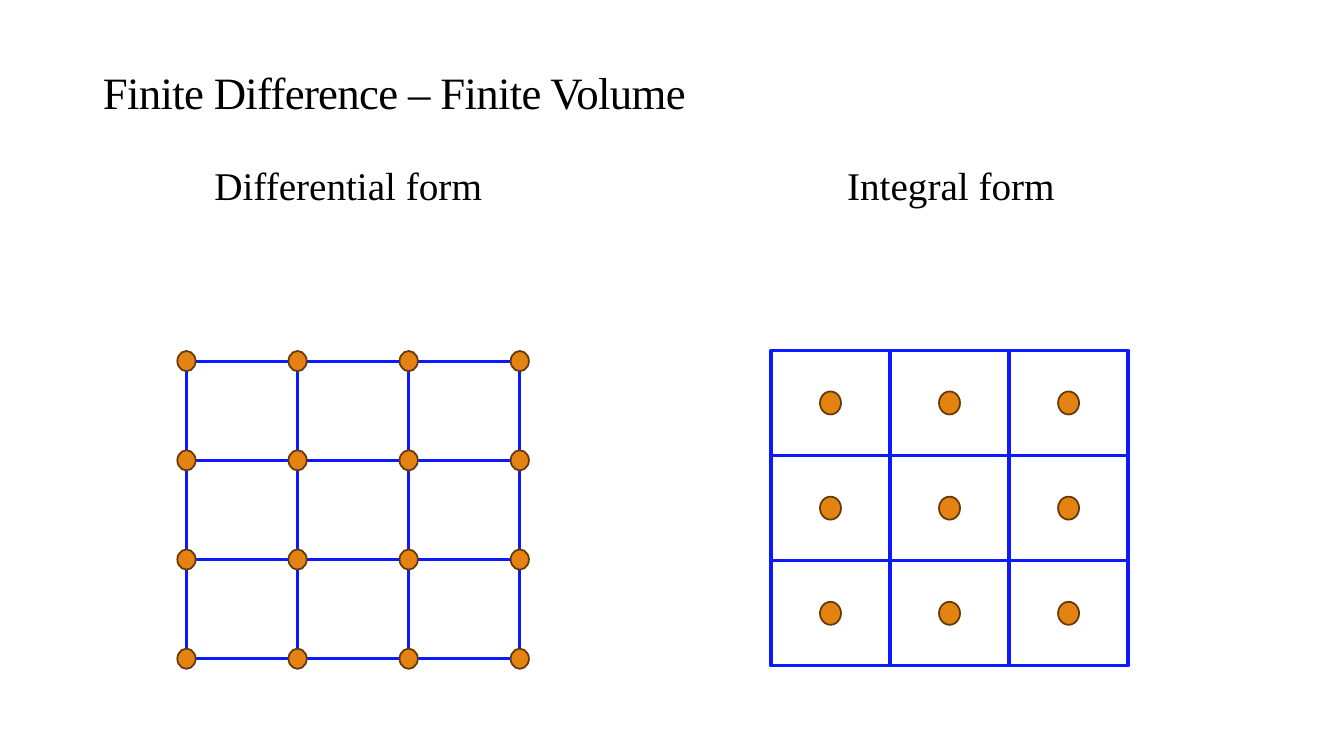
from dataclasses import dataclass
from itertools import product

from pptx import Presentation
from pptx import util as u
from pptx.dml.color import RGBColor
from pptx.enum import shapes, text


@dataclass(frozen=True)
class Theme:
    """Colours, font and sizes used on the slide."""
    ink: RGBColor = RGBColor(0x00, 0x00, 0x00)
    grid: RGBColor = RGBColor(0x0D, 0x19, 0xFF)
    node: RGBColor = RGBColor(0xE4, 0x83, 0x12)
    node_edge: RGBColor = RGBColor(0x64, 0x39, 0x08)
    font: str = "Times New Roman"
    title_size: float = 32
    caption_size: float = 28
    grid_width: float = 2.25
    node_width: float = 1.25


THEME = Theme()
CELLS = 3


def add_run(p, words, size):
    """Add a styled run to a paragraph and return it."""
    r = p.add_run()
    r.text = words
    r.font.name = THEME.font
    r.font.size = u.Pt(size)
    r.font.color.rgb = THEME.ink
    return r


def add_title(s, box, words):
    """Fill the title placeholder and move it to the box."""
    sp = s.shapes.title
    sp.left, sp.top, sp.width, sp.height = map(u.Cm, box)
    tf = sp.text_frame
    tf.auto_size = text.MSO_AUTO_SIZE.NONE
    tf.vertical_anchor = text.MSO_ANCHOR.BOTTOM
    p = tf.paragraphs[0]
    p.alignment = text.PP_ALIGN.LEFT
    p.line_spacing = 0.85
    r = add_run(p, words, THEME.title_size)
    r.font._element.set("spc", "-50")


def add_caption(s, box, words):
    """Add a centred caption in the box."""
    tf = s.shapes.add_textbox(*map(u.Cm, box)).text_frame
    tf.word_wrap = True
    tf.auto_size = text.MSO_AUTO_SIZE.SHAPE_TO_FIT_TEXT
    p = tf.paragraphs[0]
    p.alignment = text.PP_ALIGN.CENTER
    add_run(p, words, THEME.caption_size)


def add_outlined(group, kind, box, line, width, fill=None):
    """Add a preset shape with the given outline and optional fill."""
    sp = group.shapes.add_shape(kind, *map(u.Cm, box))
    sp.shadow.inherit = False
    sp.line.color.rgb = line
    sp.line.width = u.Pt(width)
    if fill is None:
        sp.fill.background()
    else:
        sp.fill.solid()
        sp.fill.fore_color.rgb = fill


def add_mesh(s, box, node_size, centred):
    """Draw a square mesh with nodes at its cell centres or its corners."""
    left, top, width, height = box
    cell_w, cell_h = width / CELLS, height / CELLS
    node_w, node_h = node_size
    group = s.shapes.add_group_shape()
    for row, col in product(range(CELLS), repeat=2):
        cell = (left + col * cell_w, top + row * cell_h, cell_w, cell_h)
        add_outlined(group, shapes.MSO_SHAPE.RECTANGLE, cell,
                     THEME.grid, THEME.grid_width)
    offset, count = (0.5, CELLS) if centred else (0, CELLS + 1)
    for row, col in product(range(count), repeat=2):
        node = (left + (col + offset) * cell_w - node_w / 2,
                top + (row + offset) * cell_h - node_h / 2, node_w, node_h)
        add_outlined(group, shapes.MSO_SHAPE.OVAL, node,
                     THEME.node_edge, THEME.node_width, THEME.node)


def main():
    """Build and save the slide."""
    prs = Presentation()
    prs.slide_width, prs.slide_height = u.Cm(33.87), u.Cm(19.05)
    s = prs.slides.add_slide(prs.slide_layouts[5])
    add_title(s, (2.34, 1.02, 29.21, 2.11), "Finite Difference – Finite Volume")
    add_caption(s, (19.89, 3.94, 8.15, 1.45), "Integral form")
    add_caption(s, (4.7, 3.94, 8.15, 1.45), "Differential form")
    add_mesh(s, (4.7, 9.1, 8.4, 7.5), (0.46, 0.51), centred=False)
    add_mesh(s, (19.43, 8.83, 9, 7.95), (0.53, 0.58), centred=True)
    prs.save("out.pptx")


if __name__ == "__main__":
    main()
